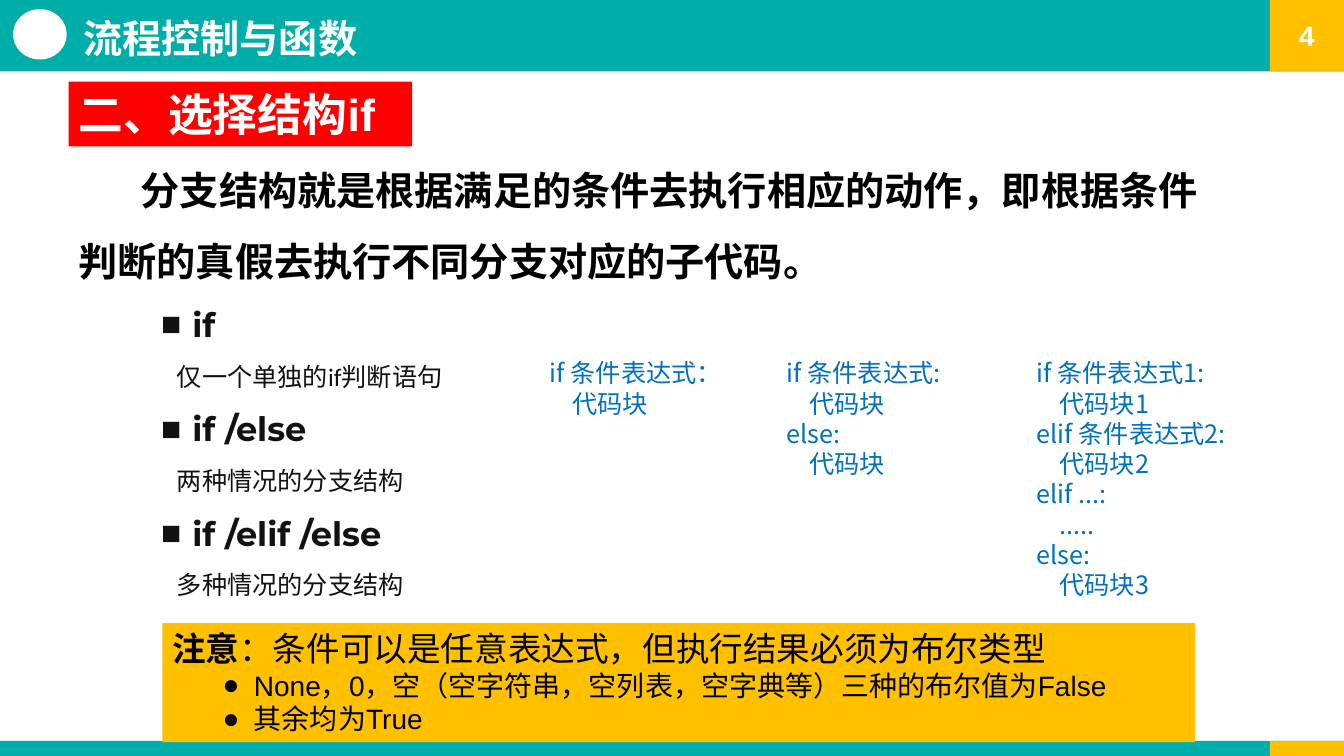
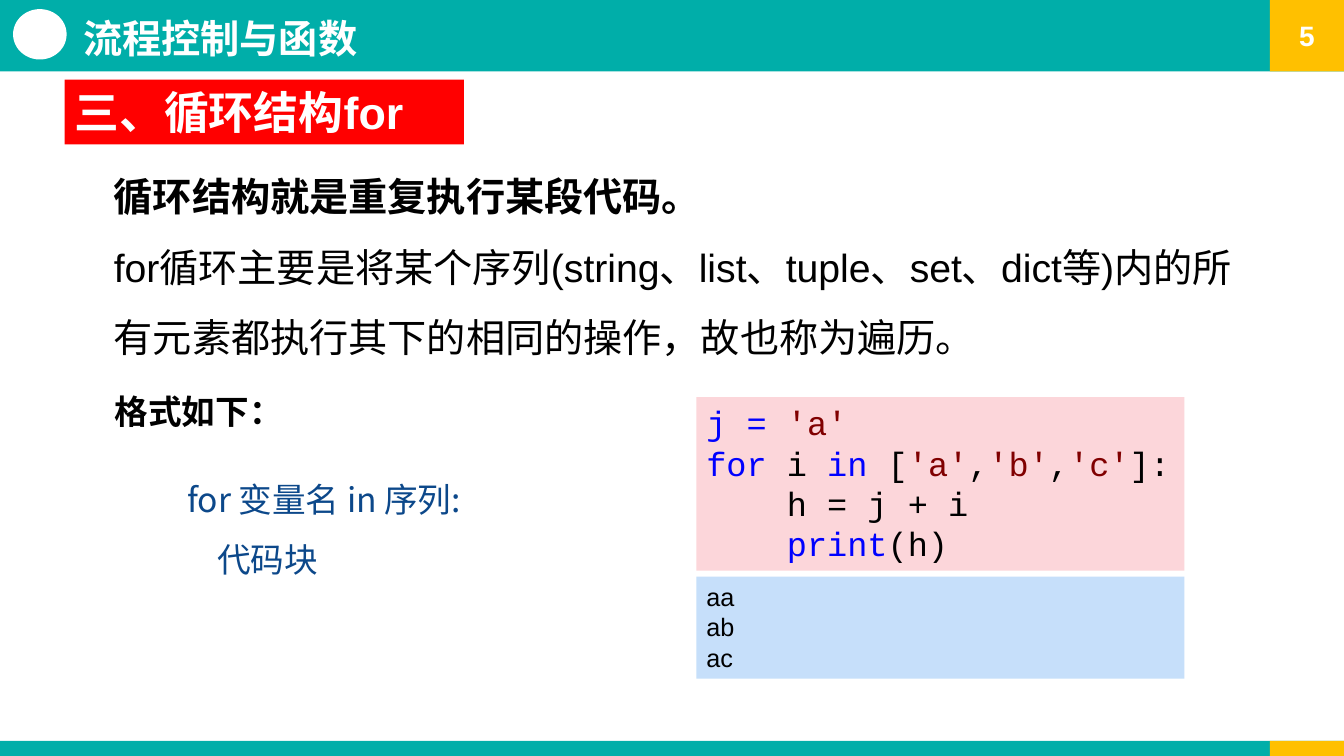
from dataclasses import dataclass, replace

from lxml import etree
from pptx import Presentation
from pptx import util as u
from pptx.dml.color import RGBColor
from pptx.enum import shapes, text
from pptx.oxml import ns

WIDTH, HEIGHT = 33.87, 19.05
BAND_HEIGHT, FOOTER_HEIGHT, CORNER_WIDTH = 1.8, 0.38, 1.87
TEAL, AMBER, RED, WHITE, BLACK = "00AEA9", "FFC000", "FF0000", "FFFFFF", "000000"
INK, SYNTAX_BLUE, FORMAT_BLUE = "121212", "0070C0", "0C488A"
KEYWORD, STRING = "0000FF", "800000"
CJK = "Noto Sans CJK SC"


@dataclass(frozen=True)
class Style:
    size: float
    font: str = "Arial"
    color: str = BLACK
    bold: bool = False
    line_spacing: float = 1.0
    gap: float = 0
    centered: bool = False


@dataclass(frozen=True)
class Run:
    text: str
    color: str | None = None
    bold: bool | None = None


@dataclass(frozen=True)
class Line:
    runs: str | tuple[Run, ...]
    style: Style
    margin: float = 0
    first: float = 0
    bullet: str = ""


@dataclass(frozen=True)
class Block:
    left: float
    top: float
    width: float
    height: float
    lines: tuple[Line, ...] = ()
    fill: str | None = None
    grow: bool = True


@dataclass(frozen=True)
class Page:
    number: int
    blocks: tuple[Block, ...]


HEADER = Style(28, CJK, WHITE, bold=True)
NUMBER = Style(20, color=WHITE, bold=True, centered=True)
SECTION = Style(32, color=WHITE, bold=True)
BODY = Style(28, line_spacing=1.5)
LEAD = replace(BODY, bold=True)
TERM = Style(24, "Montserrat", INK, bold=True, gap=6)
DETAIL = Style(18, "Calibri", INK, gap=6)
SYNTAX = Style(18, CJK, SYNTAX_BLUE)
FORMAT = Style(24, CJK, FORMAT_BLUE, line_spacing=1.5)
LABEL = Style(24, bold=True)
NOTE, NOTE_ITEM = Style(24), Style(20)
CODE = Style(24, "Courier New")
OUTPUT = Style(18)


def rgb(color: str) -> RGBColor:
    return RGBColor.from_string(color)


def add_bullet(properties, character: str) -> None:
    etree.SubElement(properties, ns.qn("a:buFont"), typeface="Arial")
    etree.SubElement(properties, ns.qn("a:buChar"), char=character)


def write_line(paragraph, line: Line) -> None:
    style = line.style
    properties = paragraph._p.get_or_add_pPr()
    properties.set("marL", str(u.Cm(line.margin)))
    properties.set("indent", str(u.Cm(line.first)))
    if line.bullet:
        add_bullet(properties, line.bullet)
    paragraph.line_spacing = style.line_spacing
    paragraph.space_before = paragraph.space_after = u.Pt(style.gap)
    paragraph.alignment = text.PP_ALIGN.CENTER if style.centered else text.PP_ALIGN.LEFT
    font = paragraph.font
    font.size, font.bold, font.name = u.Pt(style.size), style.bold, style.font
    font.color.rgb = rgb(style.color)
    etree.SubElement(properties.find(ns.qn("a:defRPr")), ns.qn("a:ea"), typeface=CJK)
    parts = (Run(line.runs),) if isinstance(line.runs, str) else line.runs
    for part in parts:
        run = paragraph.add_run()
        run.text = part.text
        if part.color:
            run.font.color.rgb = rgb(part.color)
        if part.bold is not None:
            run.font.bold = part.bold


def add_filled(slide, kind, box: tuple[float, ...], fill: str):
    shape = slide.shapes.add_shape(kind, *map(u.Cm, box))
    shape.shadow.inherit = False
    shape.fill.solid()
    shape.fill.fore_color.rgb = rgb(fill)
    shape.line.fill.background()
    return shape


def draw_block(slide, block: Block) -> None:
    box = (block.left, block.top, block.width, block.height)
    if block.fill:
        shape = add_filled(slide, shapes.MSO_SHAPE.RECTANGLE, box, block.fill)
    else:
        shape = slide.shapes.add_textbox(*map(u.Cm, box))
    if not block.lines:
        return
    frame = shape.text_frame
    frame.word_wrap = True
    frame.vertical_anchor = text.MSO_ANCHOR.TOP if block.grow else text.MSO_ANCHOR.MIDDLE
    if block.grow:
        frame.auto_size = text.MSO_AUTO_SIZE.SHAPE_TO_FIT_TEXT
    for index, line in enumerate(block.lines):
        write_line(frame.add_paragraph() if index else frame.paragraphs[0], line)


def draw_frame(slide, number: int) -> None:
    corner = WIDTH - CORNER_WIDTH
    number_line = Line(str(number), NUMBER)
    for top, height, lines in (
        (HEIGHT - FOOTER_HEIGHT, FOOTER_HEIGHT, ()),
        (0, BAND_HEIGHT, (number_line,)),
    ):
        draw_block(slide, Block(0, top, WIDTH, height, fill=TEAL))
        draw_block(slide, Block(corner, top, CORNER_WIDTH, height, lines, AMBER, grow=False))
    add_filled(slide, shapes.MSO_SHAPE.OVAL, (0.33, 0.23, 1.35, 1.27), WHITE)
    draw_block(slide, Block(1.85, 0.23, 19.5, 1.45, (Line("流程控制与函数", HEADER),)))


def section(left: float, top: float, width: float, title: str) -> Block:
    return Block(left, top, width, 1.63, (Line(title, SECTION),), RED)


def terms(*pairs: tuple[str, str]) -> tuple[Line, ...]:
    return tuple(
        line
        for term, detail in pairs
        for line in (Line(term, TERM, 0.79, -0.79, "■"), Line(detail, DETAIL, 0.4))
    )


def syntax(*rows: tuple[str, str], style: Style = SYNTAX, indent: float = 0.57) -> tuple[Line, ...]:
    return tuple(
        line
        for clause, body in rows
        for line in (Line(clause, style), Line(body, style, indent))
    )


def note_item(content: str) -> Line:
    return Line(content, NOTE_ITEM, 2.06, -0.79, "●")


SELECTION = Page(4, (
    section(1.73, 2.06, 8.66, "二、选择结构if"),
    Block(1.73, 3.48, 29.13, 3.66, (
        Line("分支结构就是根据满足的条件去执行相应的动作，即根据条件判断的真假去执行不同分支对应的子代码。",
             LEAD, first=1.57),
    )),
    Block(3.81, 7.54, 9.83, 7.77, terms(
        ("if", "仅一个单独的if判断语句"),
        ("if /else", "两种情况的分支结构"),
        ("if /elif /else", "多种情况的分支结构"),
    )),
    Block(13.61, 8.89, 5.94, 1.8, syntax(("if 条件表达式：", "代码块"))),
    Block(19.58, 8.89, 5.94, 3.33, syntax(("if 条件表达式:", "代码块"), ("else:", "代码块"))),
    Block(25.88, 8.89, 6.93, 6.4, syntax(
        ("if 条件表达式1:", "代码块1"),
        ("elif 条件表达式2:", "代码块2"),
        ("elif ...:", "....."),
        ("else:", "代码块3"),
    )),
    Block(4.09, 15.7, 26.03, 3.0, (
        Line((Run("注意", bold=True), Run("：条件可以是任意表达式，但执行结果必须为布尔类型")), NOTE),
        note_item("None，0，空（空字符串，空列表，空字典等）三种的布尔值为False"),
        note_item("其余均为True"),
    ), AMBER),
))

LOOP = Page(5, (
    section(1.63, 2.01, 10.06, "三、循环结构for"),
    Block(1.35, 3.63, 30.1, 5.64, (
        Line("循环结构就是重复执行某段代码。", LEAD, 1.27),
        Line("for循环主要是将某个序列(string、list、tuple、set、dict等)内的所有元素都执行其下的相同的操作，故也称为遍历。",
             BODY, 1.27),
    )),
    Block(4.47, 11.43, 8.81, 3.1, syntax(("for 变量名 in 序列:", "代码块"), style=FORMAT, indent=0.76)),
    Block(2.64, 9.73, 8.0, 1.27, (Line("格式如下：", LABEL),)),
    Block(17.55, 10.01, 12.3, 4.37, (
        Line((Run("j = ", KEYWORD), Run("'a'", STRING)), CODE),
        Line((Run("for ", KEYWORD), Run("i "), Run("in", KEYWORD), Run(" ["), Run("'a'", STRING), Run(","),
              Run("'b'", STRING), Run(","), Run("'c'", STRING), Run("]:")), CODE),
        Line("h = j + i", CODE, 2.03),
        Line((Run("print", KEYWORD), Run("(h)")), CODE, 2.03),
    ), "FCD6DA"),
    Block(17.55, 14.53, 12.3, 2.57, tuple(Line(row, OUTPUT) for row in ("aa", "ab", "ac")), "C6DFFA"),
))


def main() -> None:
    presentation = Presentation()
    presentation.slide_width, presentation.slide_height = u.Cm(WIDTH), u.Cm(HEIGHT)
    for page in (SELECTION, LOOP):
        slide = presentation.slides.add_slide(presentation.slide_layouts[6])
        draw_frame(slide, page.number)
        for block in page.blocks:
            draw_block(slide, block)
    presentation.save("out.pptx")


if __name__ == "__main__":
    main()
